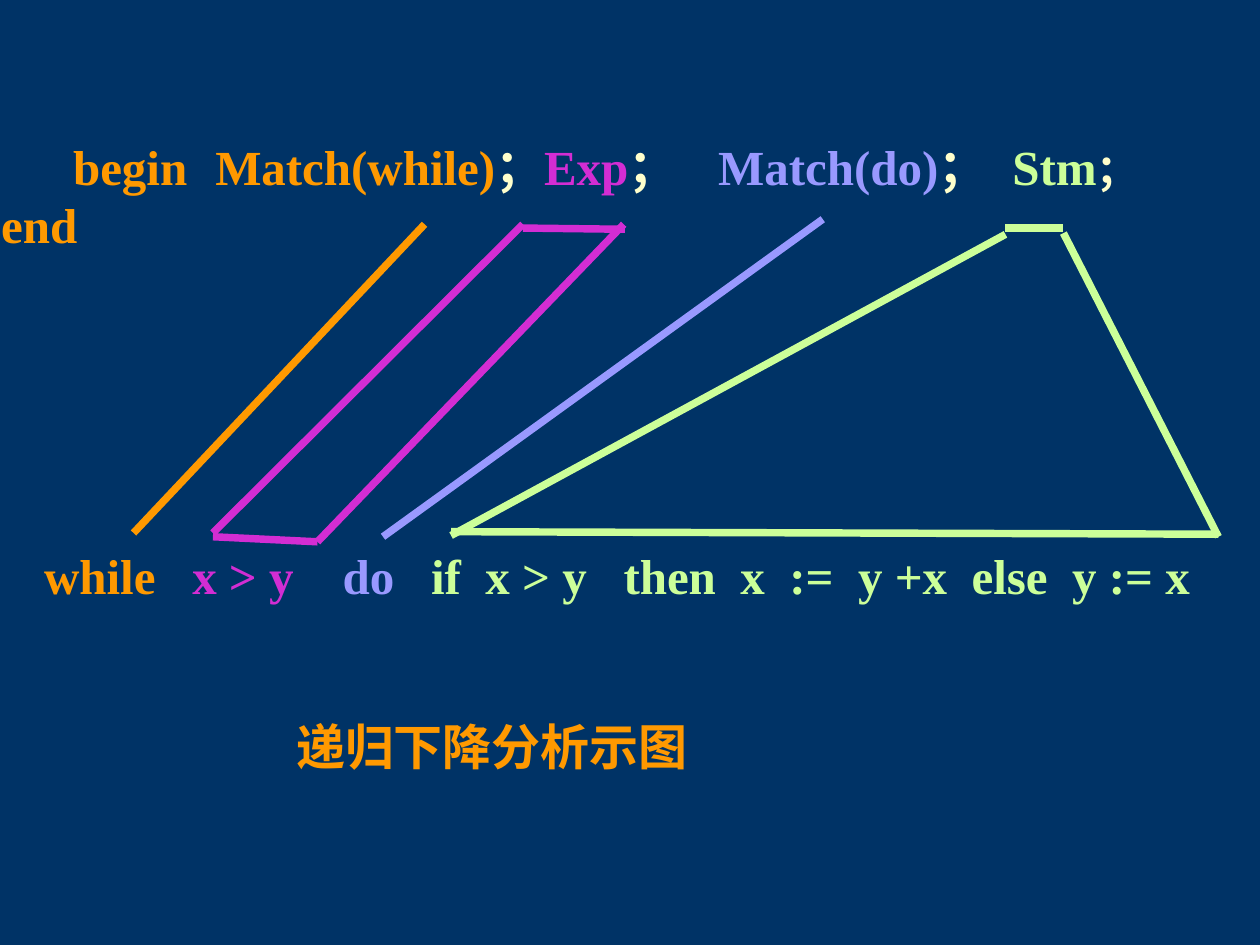
from lxml import etree
from pptx import Presentation
from pptx.dml.color import RGBColor
from pptx.enum.shapes import MSO_CONNECTOR
from pptx.enum.text import MSO_ANCHOR, MSO_AUTO_SIZE, PP_ALIGN
from pptx.oxml.ns import qn
from pptx.util import Inches, Pt

STRAIGHT = MSO_CONNECTOR.STRAIGHT
TOP = MSO_ANCHOR.TOP
GROW = MSO_AUTO_SIZE.SHAPE_TO_FIT_TEXT
LEFT, JUSTIFY = PP_ALIGN.LEFT, PP_ALIGN.JUSTIFY

FONT = "Times New Roman"
SPACE = 7  # width in points of a space at 28 pt
NAVY, ORANGE, CREAM = "003366", "FF9900", "FFFFCC"
MAGENTA, LILAC, LIME = "D32DD3", "9999FF", "CCFF99"

CAPTION = "递归下降分析示图"

# Each line: box, first-line indent, alignment, and runs of
# (text, colour, size, gap after it in points)
CALLS = (
    (0, 1.07, 9.92, 0.58), 0.57, LEFT,
    [("begin", ORANGE, 28, 16), ("Match(while)", ORANGE, 28, 0),
     ("；", CREAM, 28, 0), ("Exp", MAGENTA, 28, 0), ("；", CREAM, 28, 24),
     ("Match(do)", LILAC, 28, 0), ("；", CREAM, 28, 15),
     ("Stm", LIME, 28, 0), ("；", CREAM, 24, 21), ("end", ORANGE, 28, 0)],
)
SOURCE = (
    (0.17, 4.32, 9.75, 0.48), 0.17, JUSTIFY,
    [("while", ORANGE, 28, 21), ("x > y", MAGENTA, 28, 28),
     ("do", LILAC, 28, 21), ("if", LIME, 28, 14), ("x > y", LIME, 28, 21),
     ("then", LIME, 28, 14), ("x", LIME, 28, 14), (":=", LIME, 28, 14),
     ("y +x", LIME, 28, 14), ("else", LIME, 28, 14), ("y := x", LIME, 28, 0)],
)

# Lines that tie each call to the source text it matches
LINKS = {
    MAGENTA: [((4.15, 1.78), (1.69, 4.23)), ((4.15, 1.81), (4.96, 1.82)),
              ((4.95, 1.78), (2.52, 4.3)), ((1.69, 4.26), (2.52, 4.3))],
    LIME: [((7.98, 1.86), (3.58, 4.25)), ((3.58, 4.22), (9.67, 4.24)),
           ((7.98, 1.81), (8.44, 1.81)), ((8.44, 1.85), (9.67, 4.26))],
    ORANGE: [((3.37, 1.78), (1.06, 4.23))],
    LILAC: [((6.53, 1.74), (3.04, 4.26))],
}


def rgb(color):
    return RGBColor.from_string(color)


def add_run(p, text, color=ORANGE, size=28, spacing=0):
    """Add a bold run; spacing is extra character spacing in points."""
    r = p.add_run()
    r.text = text
    r.font.name = FONT
    r.font.size = Pt(size)
    r.font.bold = True
    r.font.color.rgb = rgb(color)
    if spacing:
        r._r.get_or_add_rPr().set("spc", str(spacing * 100))


def add_code_line(slide, box, indent, align, runs):
    tf = slide.shapes.add_textbox(*map(Inches, box)).text_frame
    tf.word_wrap = True
    tf.margin_left = tf.margin_right = Inches(0.01)
    tf.margin_top = tf.margin_bottom = Inches(0.01)
    p = tf.paragraphs[0]
    p.alignment = align
    pPr = p._p.get_or_add_pPr()
    pPr.set("marL", "0")
    pPr.set("indent", str(Inches(indent)))
    for text, color, size, gap in runs:
        add_run(p, text, color=color, size=size)
        if gap:
            add_run(p, " ", color=color, spacing=gap - SPACE)


def add_link(slide, start, end, color):
    line = slide.shapes.add_connector(STRAIGHT, *map(Inches, start + end))
    line.line.color.rgb = rgb(color)
    line.line.width = Pt(4.25)
    etree.SubElement(line._element.spPr, qn("a:effectLst"))


def format_caption(title):
    title.left, title.top = Inches(2.25), Inches(5.64)
    title.width, title.height = Inches(3.35), Inches(0.57)
    tf = title.text_frame
    tf.word_wrap = False
    tf.auto_size = GROW
    tf.vertical_anchor = TOP
    p = tf.paragraphs[0]
    p.alignment = LEFT
    add_run(p, CAPTION)


def main():
    prs = Presentation()
    prs.slide_width, prs.slide_height = Inches(10), Inches(7.5)
    slide = prs.slides.add_slide(prs.slide_layouts[5])
    slide.background.fill.solid()
    slide.background.fill.fore_color.rgb = rgb(NAVY)

    for code_line in (CALLS, SOURCE):
        add_code_line(slide, *code_line)
    for color, lines in LINKS.items():
        for start, end in lines:
            add_link(slide, start, end, color)
    format_caption(slide.shapes.title)
    prs.save("out.pptx")


if __name__ == "__main__":
    main()
